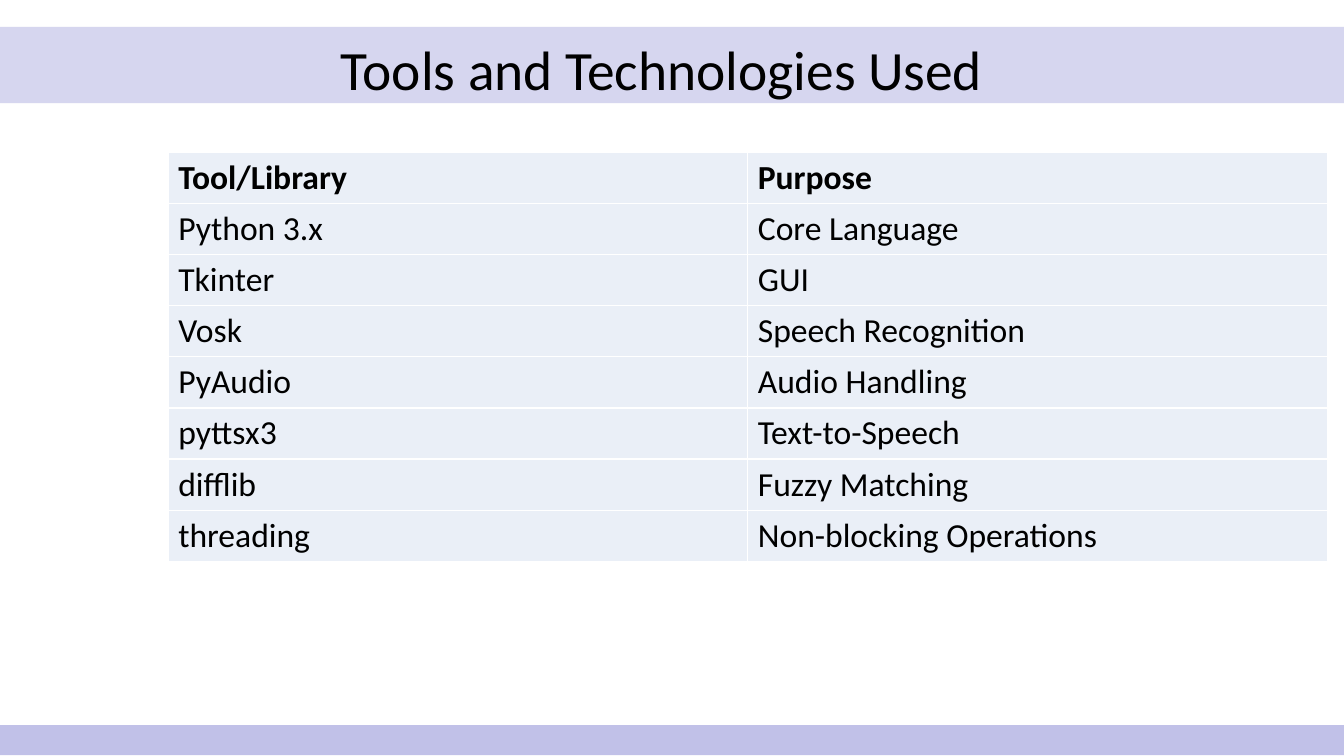
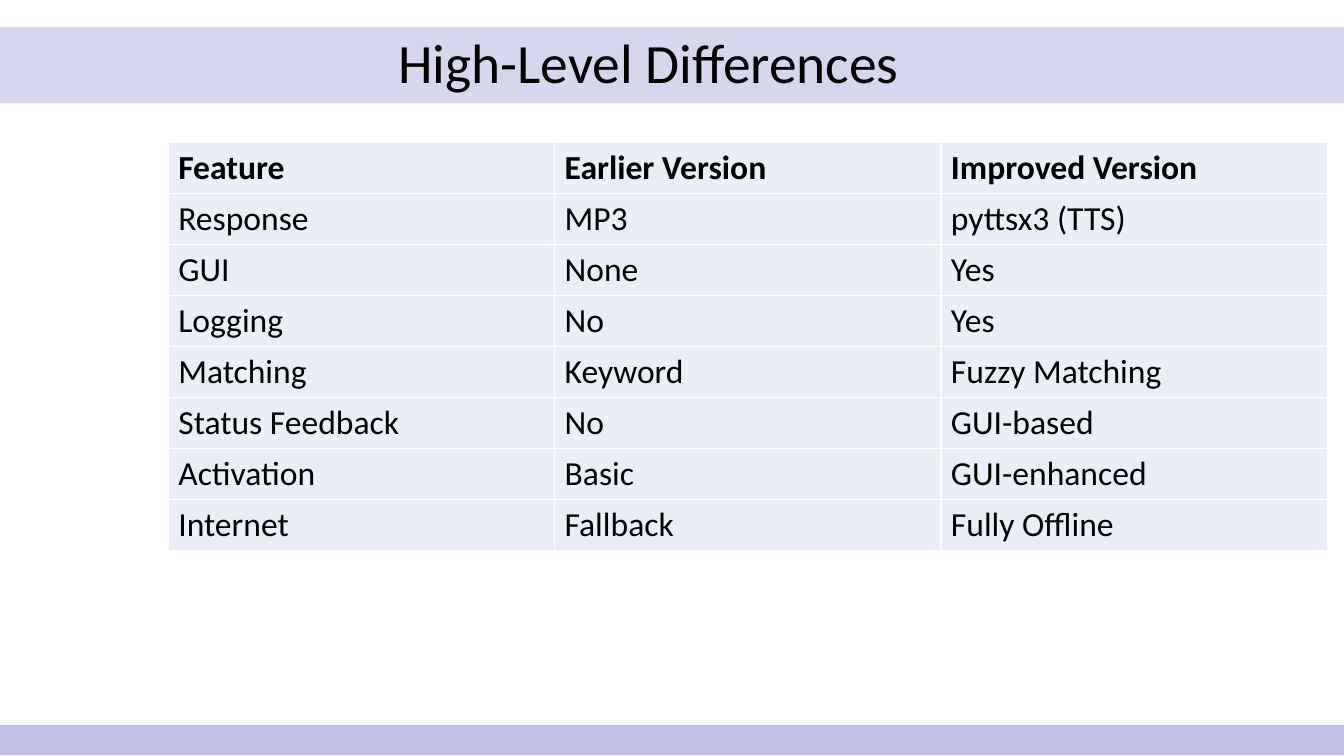
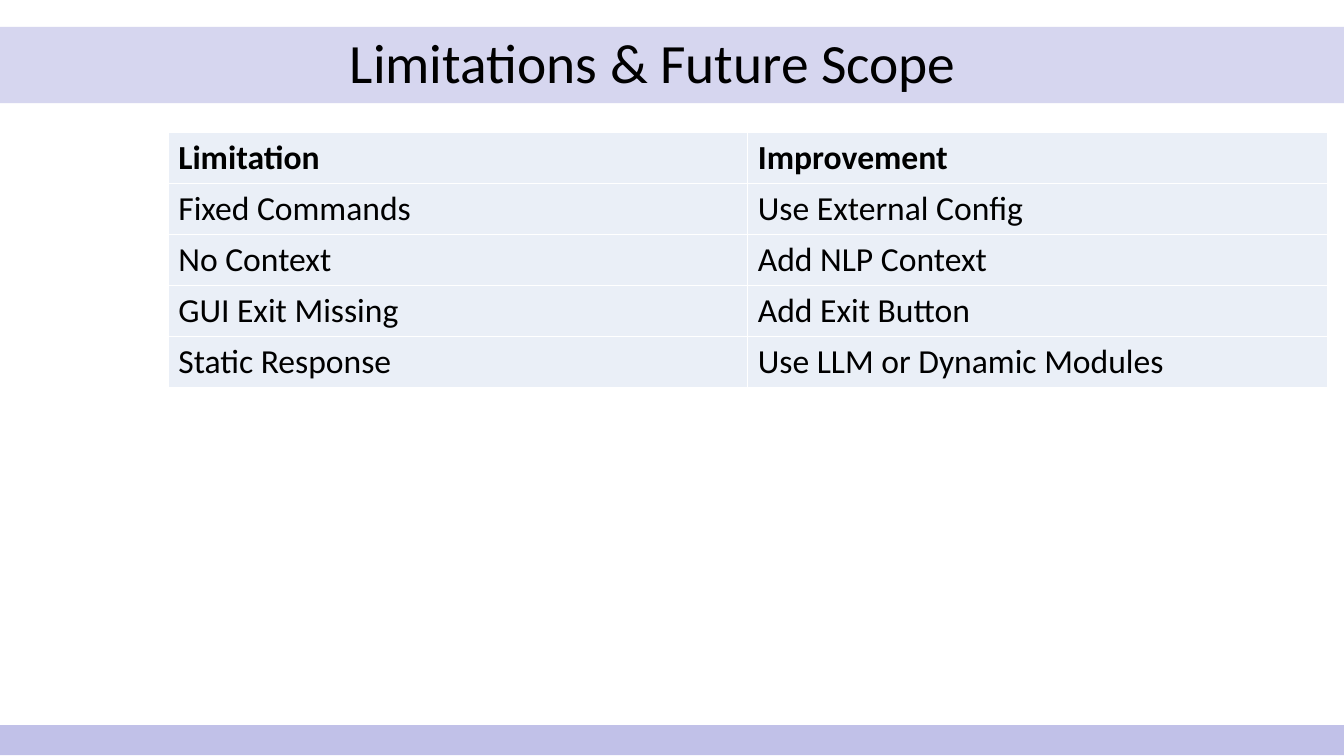
from dataclasses import dataclass

from lxml import etree
from pptx import Presentation
from pptx import util as u
from pptx.dml.color import RGBColor
from pptx.enum import shapes, text
from pptx.oxml import ns


@dataclass(frozen=True)
class Theme:
    font: str = "Calibri"
    title_size: float = 39.6
    cell_size: float = 24
    border_width: float = 1
    ink: str = "000000"
    title_band: str = "D6D6EF"
    footer_band: str = "C1C1E8"
    cell: str = "EAEFF7"
    border: str = "FFFFFF"


@dataclass(frozen=True)
class Box:
    left: float
    top: float
    width: float
    height: float

    def lengths(self):
        return [u.Cm(side) for side in (self.left, self.top, self.width, self.height)]


THEME = Theme()
PAGE = Box(0, 0, 33.87, 19.05)
TITLE_BAND = Box(0, 0.68, PAGE.width, 1.92)
FOOTER_BAND = Box(0, 18.27, PAGE.width, 0.76)
FOOTER_SPLIT = 17
TITLE_WIDTH, TITLE_HEIGHT = 21.01, 1.6
TABLE_LEFT, TABLE_WIDTH, ROW_HEIGHT = 4.24, 29.21, 1.28

SLIDES = [
    {
        "title": "Tools and Technologies Used",
        "title_at": (6.17, 1.02),
        "align": text.PP_ALIGN.CENTER,
        "table_top": 3.84,
        "rows": [
            ("Tool/Library", "Purpose"),
            ("Python 3.x", "Core Language"),
            ("Tkinter", "GUI"),
            ("Vosk", "Speech Recognition"),
            ("PyAudio", "Audio Handling"),
            ("pyttsx3", "Text-to-Speech"),
            ("difflib", "Fuzzy Matching"),
            ("threading", "Non-blocking Operations"),
        ],
    },
    {
        "title": "High-Level Differences",
        "title_at": (9.78, 0.84),
        "align": text.PP_ALIGN.LEFT,
        "table_top": 3.58,
        "rows": [
            ("Feature", "Earlier Version", "Improved Version"),
            ("Response", "MP3", "pyttsx3 (TTS)"),
            ("GUI", "None", "Yes"),
            ("Logging", "No", "Yes"),
            ("Matching", "Keyword", "Fuzzy Matching"),
            ("Status Feedback", "No", "GUI-based"),
            ("Activation", "Basic", "GUI-enhanced"),
            ("Internet", "Fallback", "Fully Offline"),
        ],
    },
    {
        "title": "Limitations & Future Scope",
        "title_at": (8.56, 0.84),
        "align": text.PP_ALIGN.LEFT,
        "table_top": 3.33,
        "rows": [
            ("Limitation", "Improvement"),
            ("Fixed Commands", "Use External Config"),
            ("No Context", "Add NLP Context"),
            ("GUI Exit Missing", "Add Exit Button"),
            ("Static Response", "Use LLM or Dynamic Modules"),
        ],
    },
]


def paint(shape, color):
    shape.shadow.inherit = False
    shape.fill.solid()
    shape.fill.fore_color.rgb = RGBColor.from_string(color)
    shape.line.fill.background()


def style_font(font, size, bold=False):
    font.name = THEME.font
    font.size = u.Pt(size)
    font.bold = bold
    font.color.rgb = RGBColor.from_string(THEME.ink)


def add_title(page, box, words, align):
    title = page.shapes.title
    title.left, title.top, title.width, title.height = box.lengths()
    frame = title.text_frame
    frame.text = words
    frame.word_wrap = True
    frame.auto_size = text.MSO_AUTO_SIZE.NONE
    frame.vertical_anchor = text.MSO_ANCHOR.MIDDLE
    para = frame.paragraphs[0]
    para.alignment = align
    para.line_spacing = 0.9
    style_font(para.font, THEME.title_size)


def add_title_band(page, box):
    band = page.shapes.add_shape(shapes.MSO_SHAPE.RECTANGLE, *box.lengths())
    paint(band, THEME.title_band)
    page.shapes.title.element.addprevious(band.element)


def add_footer_band(page, box, split):
    left, top, width, height = box.lengths()
    right, bottom, middle = left + width, top + height, left + u.Cm(split)
    outline = page.shapes.build_freeform(left, top)
    for start, end in ((left, middle), (middle, right)):
        outline.move_to(start, top)
        outline.add_line_segments([(end, top), (end, bottom), (start, bottom)], close=True)
    paint(outline.convert_to_shape(), THEME.footer_band)


def add_borders(cell):
    properties = cell._tc.get_or_add_tcPr()
    for side in ("a:lnL", "a:lnR", "a:lnT", "a:lnB"):
        line = etree.SubElement(properties, ns.qn(side), w=str(u.Pt(THEME.border_width)))
        fill = etree.SubElement(line, ns.qn("a:solidFill"))
        etree.SubElement(fill, ns.qn("a:srgbClr"), val=THEME.border)


def fill_cell(cell, words, bold):
    cell.text = words
    cell.vertical_anchor = text.MSO_ANCHOR.MIDDLE
    style_font(cell.text_frame.paragraphs[0].font, THEME.cell_size, bold)
    add_borders(cell)
    cell.fill.solid()
    cell.fill.fore_color.rgb = RGBColor.from_string(THEME.cell)


def add_grid(page, box, rows):
    grid = page.shapes.add_table(len(rows), len(rows[0]), *box.lengths()).table
    grid.first_row = False
    grid.horz_banding = False
    for row_index, row in enumerate(rows):
        for column_index, words in enumerate(row):
            fill_cell(grid.cell(row_index, column_index), words, row_index == 0)


def add_table_slide(deck, title, title_at, align, table_top, rows):
    page = deck.slides.add_slide(deck.slide_layouts.get_by_name("Title Only"))
    add_title_band(page, TITLE_BAND)
    add_title(page, Box(*title_at, TITLE_WIDTH, TITLE_HEIGHT), title, align)
    add_footer_band(page, FOOTER_BAND, FOOTER_SPLIT)
    add_grid(page, Box(TABLE_LEFT, table_top, TABLE_WIDTH, len(rows) * ROW_HEIGHT), rows)


def main():
    deck = Presentation()
    deck.slide_width, deck.slide_height = PAGE.lengths()[2:]
    for slide in SLIDES:
        add_table_slide(deck, **slide)
    deck.save("out.pptx")


if __name__ == "__main__":
    main()
